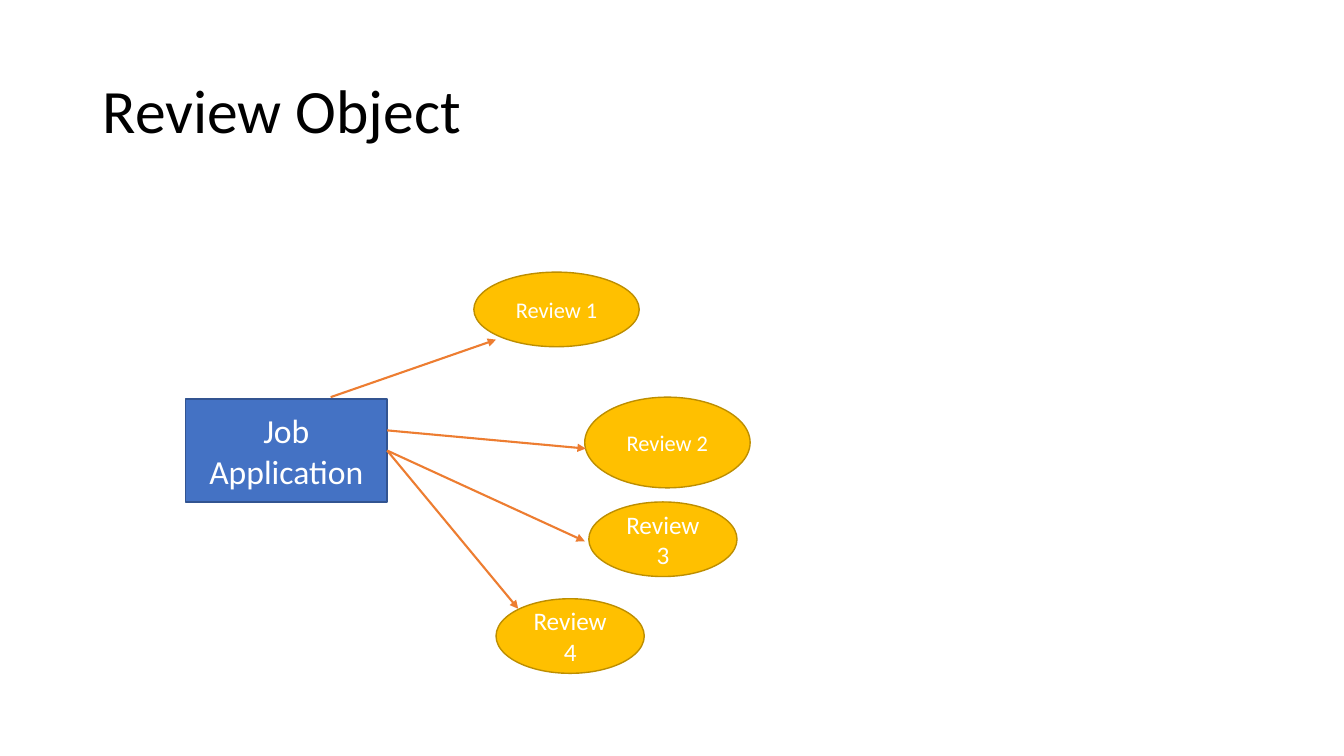
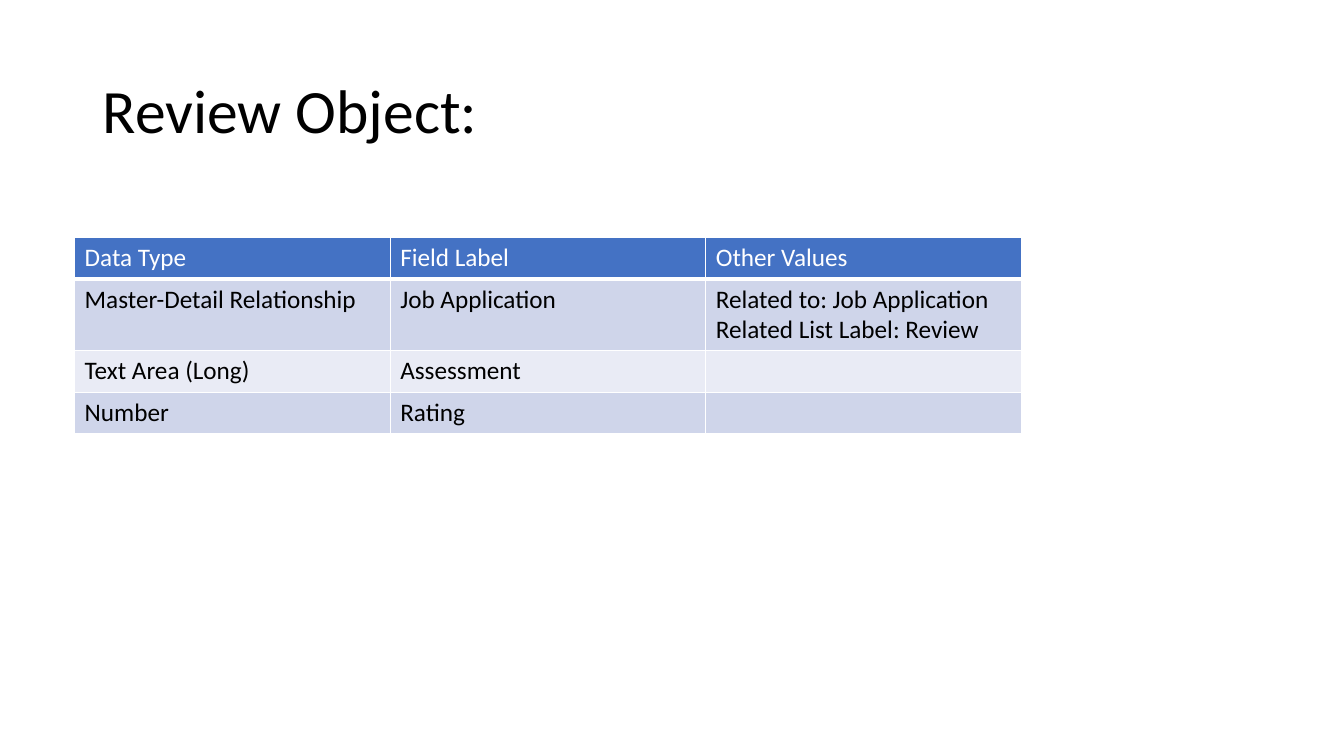
from lxml.etree import SubElement
from pptx import Presentation
from pptx.dml.color import RGBColor
from pptx.enum.shapes import MSO_CONNECTOR as Link, MSO_SHAPE as Shape
from pptx.enum.text import MSO_ANCHOR as Anchor, PP_ALIGN as Align
from pptx.oxml.ns import qn
from pptx.util import Inches, Pt

FONT = "Calibri"
WHITE = RGBColor(0xFF, 0xFF, 0xFF)
BLACK = RGBColor(0, 0, 0)
BLUE = RGBColor(0x44, 0x72, 0xC4)
NAVY = RGBColor(0x32, 0x54, 0x91)
GOLD = RGBColor(0xFF, 0xC0, 0x00)
BROWN = RGBColor(0xBD, 0x8E, 0x00)
ORANGE = RGBColor(0xED, 0x7D, 0x31)
BANDS = RGBColor(0xCF, 0xD5, 0xEA), RGBColor(0xE9, 0xEB, 0xF5)

TITLE_BOX = 0.92, 0.4, 11.5, 1.45
JOB = "Job Application", (1.84, 3.96, 2, 1.02), 24
# label, box, text size, arrow start, arrow end
REVIEWS = [
    ("Review 1", (4.7, 2.7, 1.64, 0.74), 16, (3.28, 3.94), (4.92, 3.37)),
    ("Review 2", (5.8, 3.94, 1.64, 0.9), 16, (3.84, 4.27), (5.81, 4.45)),
    ("Review 3", (5.84, 4.98, 1.47, 0.74), 18, (3.84, 4.47), (5.8, 5.37)),
    ("Review 4", (4.92, 5.94, 1.47, 0.74), 18, (3.84, 4.47), (5.14, 6.04)),
]
FIELDS = [
    ("Data Type", "Field Label", "Other Values"),
    ("Master-Detail Relationship", "Job Application",
     "Related to: Job Application\nRelated List Label: Review"),
    ("Text Area (Long)", "Assessment", ""),
    ("Number", "Rating", ""),
]
TABLE_AT = 0.74, 2.36
COL, ROW, TALL = 3.13, 0.41, 0.71


def inches(nums):
    return [Inches(n) for n in nums]


def write(frame, text, size, color, align=Align.LEFT):
    for i, line in enumerate(text.split("\n")):
        para = frame.add_paragraph() if i else frame.paragraphs[0]
        para.alignment = align
        font = para.font
        if line:
            run = para.add_run()
            run.text = line
            font = run.font
        font.name, font.size, font.bold = FONT, Pt(size), False
        font.color.rgb = color


def add_page(deck, text):
    page = deck.slides.add_slide(deck.slide_layouts[5])
    title = page.shapes.title
    title.left, title.top, title.width, title.height = inches(TITLE_BOX)
    frame = title.text_frame
    frame.vertical_anchor = Anchor.MIDDLE
    write(frame, text, 44, BLACK)
    frame.paragraphs[0].line_spacing = 0.9
    return page


def add_node(page, kind, text, box, size, fill, edge):
    node = page.shapes.add_shape(kind, *inches(box))
    node.shadow.inherit = False
    node.fill.solid()
    node.fill.fore_color.rgb = fill
    node.line.color.rgb = edge
    node.line.width = Pt(1)
    frame = node.text_frame
    frame.word_wrap = True
    frame.vertical_anchor = Anchor.MIDDLE
    write(frame, text, size, WHITE, Align.CENTER)


def add_arrow(page, start, end):
    arrow = page.shapes.add_connector(Link.STRAIGHT, *inches(start + end))
    arrow.line.color.rgb = ORANGE
    arrow.line.width = Pt(1.5)
    SubElement(arrow.line._get_or_add_ln(), qn("a:tailEnd"), type="triangle")
    SubElement(arrow._element.spPr, qn("a:effectLst"))


def add_borders(cell, head):
    props = cell._tc.get_or_add_tcPr()
    for side in "LRTB":
        width = Pt(3 if head and side == "B" else 1)
        line = SubElement(props, qn("a:ln" + side), w=str(width))
        fill = SubElement(line, qn("a:solidFill"))
        SubElement(fill, qn("a:srgbClr"), val=str(WHITE))


def add_fields(page):
    highs = [TALL if any("\n" in t for t in row) else ROW for row in FIELDS]
    cols = len(FIELDS[0])
    size = COL * cols, sum(highs)
    table = page.shapes.add_table(len(FIELDS), cols, *inches(TABLE_AT + size)).table
    for col in table.columns:
        col.width = Inches(COL)
    for r, row in enumerate(FIELDS):
        table.rows[r].height = Inches(highs[r])
        for c, text in enumerate(row):
            cell = table.cell(r, c)
            add_borders(cell, r == 0)
            cell.fill.solid()
            cell.fill.fore_color.rgb = BANDS[(r - 1) % 2] if r else BLUE
            write(cell.text_frame, text, 18, BLACK if r else WHITE)


def main():
    deck = Presentation()
    deck.slide_width, deck.slide_height = inches((13.33, 7.5))

    page = add_page(deck, "Review Object")
    add_node(page, Shape.RECTANGLE, *JOB, BLUE, NAVY)
    for text, box, size, _, _ in REVIEWS:
        add_node(page, Shape.OVAL, text, box, size, GOLD, BROWN)
    for *_, start, end in REVIEWS:
        add_arrow(page, start, end)

    add_fields(add_page(deck, "Review Object:"))
    deck.save("out.pptx")


if __name__ == "__main__":
    main()
